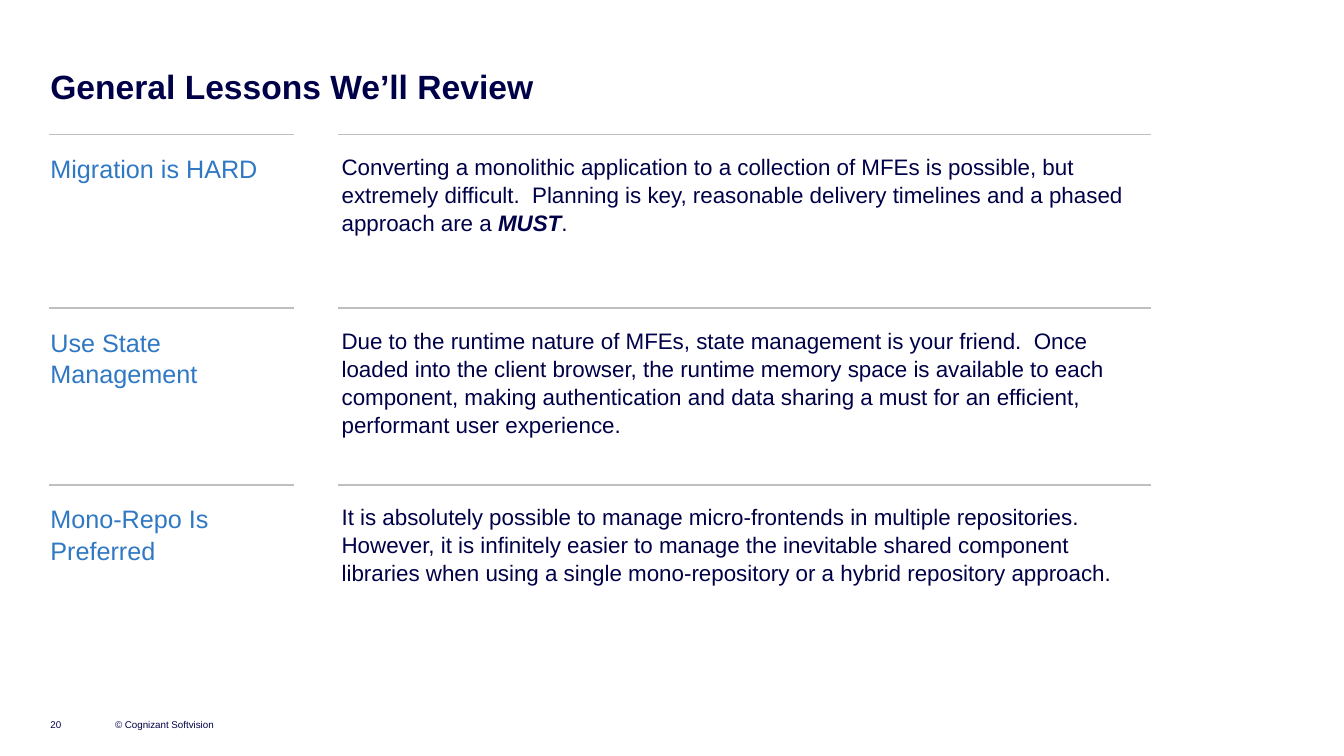
import pptx
import pptx.dml.color
import pptx.enum.shapes
import pptx.enum.text
import pptx.oxml
import pptx.oxml.ns
import pptx.util
from pptx.util import Cm

NAVY = "000048"
BLUE = "2F78C4"
GREY = "BFBFBF"


def color(hex_code):
    return pptx.dml.color.RGBColor.from_string(hex_code)


class LessonSlide:
    """Holds the slide and its style, and adds text and rules to it."""

    font_name = "Arial"
    top = pptx.enum.text.MSO_ANCHOR.TOP
    bottom = pptx.enum.text.MSO_ANCHOR.BOTTOM

    def __init__(self, presentation):
        self.slide = presentation.slides.add_slide(presentation.slide_layouts[6])

    def text(self, runs, left, top, width, height, size, hex_code=NAVY,
             bold=False, spacing=1.0, anchor=top):
        box = self.slide.shapes.add_textbox(Cm(left), Cm(top), Cm(width), Cm(height))
        frame = box.text_frame
        frame.word_wrap = True
        frame.vertical_anchor = anchor
        frame.margin_left = frame.margin_right = 0
        frame.margin_top = frame.margin_bottom = 0
        paragraph = frame.paragraphs[0]
        paragraph.line_spacing = spacing
        paragraph.font.name = self.font_name
        paragraph.font.size = pptx.util.Pt(size)
        paragraph.font.bold = bold
        paragraph.font.color.rgb = color(hex_code)
        for words, stressed in runs:
            run = paragraph.add_run()
            run.text = words
            if stressed:
                run.font.bold = run.font.italic = True

    def rule(self, left, right, y):
        line = self.slide.shapes.add_connector(
            pptx.enum.shapes.MSO_CONNECTOR.STRAIGHT, Cm(left), Cm(y), Cm(right), Cm(y))
        line.line.color.rgb = color(GREY)
        line.line.width = pptx.util.Pt(1.25)
        properties = line._element.spPr
        properties.append(pptx.oxml.parse_xml(
            f"<a:effectLst {pptx.oxml.ns.nsdecls('a')}/>"))

    def lesson(self, y, heading, explanation):
        self.rule(1.24, 7.42, y)
        self.rule(8.53, 29.01, y)
        text_top = y + 0.44
        self.text([(heading, False)], 1.27, text_top, 6.1, 2.54, 18, BLUE, spacing=1.04)
        self.text(explanation, 8.61, text_top, 20.19, 2.54, 16, spacing=1.04)

    def footer(self, words, left, width):
        self.text([(words, False)], left, 17.88, width, 0.53, 7, anchor=self.bottom)


LESSONS = [
    (3.39, "Migration is HARD", [
        ("Converting a monolithic application to a collection of MFEs is possible, "
         "but extremely difficult.  Planning is key, reasonable delivery timelines "
         "and a phased approach are a ", False),
        ("MUST", True),
        (".", False)]),
    (7.77, "Use State Management", [
        ("Due to the runtime nature of MFEs, state management is your friend.  Once "
         "loaded into the client browser, the runtime memory space is available to "
         "each component, making authentication and data sharing a must for an "
         "efficient, performant user experience.", False)]),
    (12.22, "Mono-Repo Is Preferred", [
        ("It is absolutely possible to manage micro-frontends in multiple "
         "repositories.  However, it is infinitely easier to manage the inevitable "
         "shared component libraries when using a single mono-repository or a hybrid "
         "repository approach.", False)]),
]


def main():
    presentation = pptx.Presentation()
    presentation.slide_width = Cm(33.87)
    presentation.slide_height = Cm(19.05)
    review = LessonSlide(presentation)
    review.text([("General Lessons We’ll Review", False)], 1.27, 1.55, 30.02, 0.86, 24,
                bold=True, spacing=1.1)
    for y, heading, explanation in LESSONS:
        review.lesson(y, heading, explanation)
    review.footer("© Cognizant Softvision", 2.9, 3.33)
    review.footer("20", 1.27, 0.99)
    presentation.save("out.pptx")


if __name__ == "__main__":
    main()
